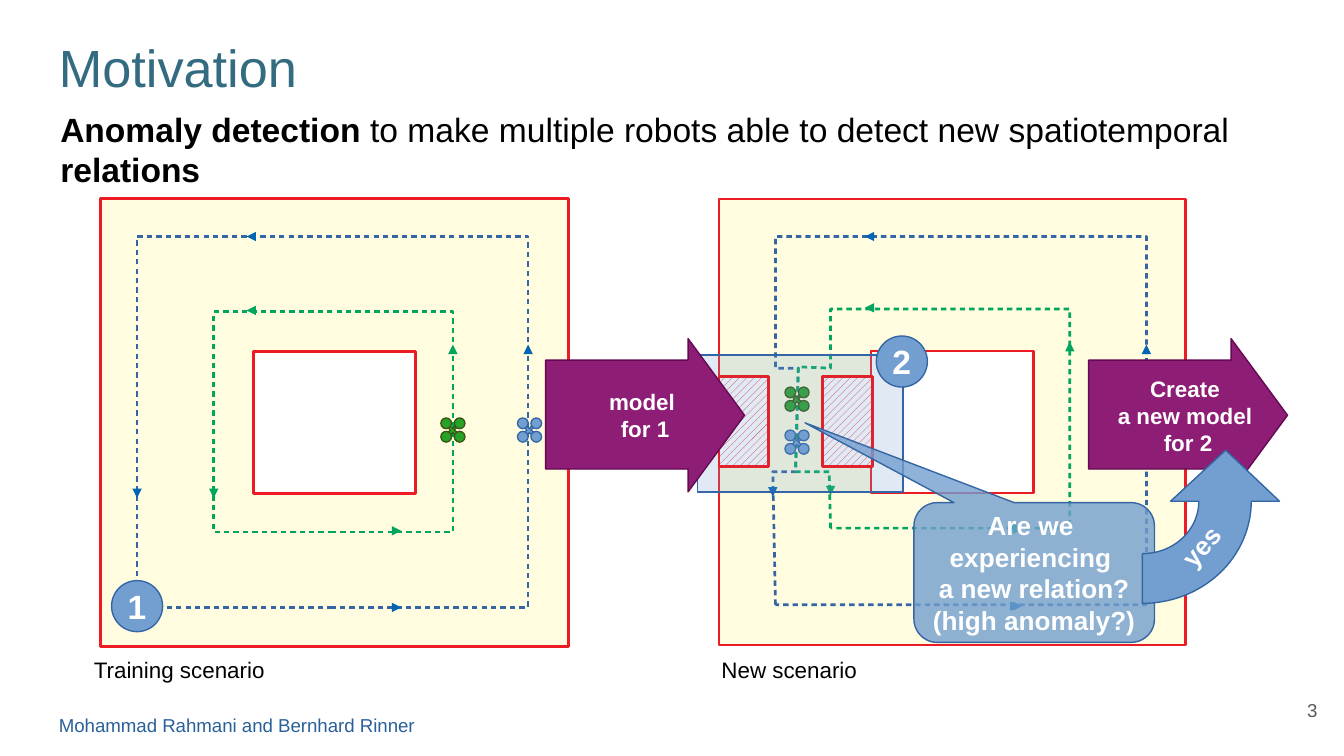
import math
from lxml import etree
from pptx import Presentation
from pptx.dml.color import RGBColor
from pptx.enum.dml import MSO_PATTERN
from pptx.enum.shapes import MSO_SHAPE
from pptx.enum.text import MSO_ANCHOR, PP_ALIGN
from pptx.oxml.ns import qn
from pptx.util import Inches, Pt

RECT, OVAL, FRAME = MSO_SHAPE.RECTANGLE, MSO_SHAPE.OVAL, MSO_SHAPE.FRAME
TRIANGLE = MSO_SHAPE.ISOSCELES_TRIANGLE
CALLOUT = MSO_SHAPE.ROUNDED_RECTANGULAR_CALLOUT
HATCH = MSO_PATTERN.WIDE_UPWARD_DIAGONAL
LEFT, CENTER, RIGHT = PP_ALIGN.LEFT, PP_ALIGN.CENTER, PP_ALIGN.RIGHT
TOP, MIDDLE = MSO_ANCHOR.TOP, MSO_ANCHOR.MIDDLE

BLACK, WHITE = RGBColor(0, 0, 0), RGBColor(255, 255, 255)
CREAM, RED = RGBColor(0xFF, 0xFC, 0xDF), RGBColor(0xED, 0x1C, 0x24)
BRIGHT_RED = RGBColor(0xFF, 0, 0)
BLUE, NAVY = RGBColor(0x72, 0x9F, 0xCF), RGBColor(0x34, 0x65, 0xA4)
ARROW_BLUE, GREEN = RGBColor(0, 0x66, 0xB3), RGBColor(0, 0xA6, 0x5D)
DRONE_GREEN, DARK_GREEN = RGBColor(0x28, 0xA1, 0x27), RGBColor(0x39, 0x55, 0x11)
PURPLE, DARK_PURPLE = RGBColor(0x8D, 0x1D, 0x75), RGBColor(0x65, 0x09, 0x53)
TEAL, GRAY = RGBColor(0x33, 0x6B, 0x81), RGBColor(0x59, 0x59, 0x59)
FOOTER_BLUE = RGBColor(0x2A, 0x60, 0x99)

prs = Presentation()
prs.slide_width = Inches(10)
prs.slide_height = prs.slide_width * 9 // 16
s = prs.slides.add_slide(prs.slide_layouts[6])
U = prs.slide_width / 10  # one grid column; rows have the same size


def draw(kind, place, fill=None, line=None, width=0.75, alpha=None):
    """Draw a preset in a (left, top, width, height) box, or an outline if kind is None."""
    if kind is None:
        pts = [(round(x * U), round(y * U)) for x, y in place]
        fb = s.shapes.build_freeform(*pts[0], scale=1.0)
        fb.add_line_segments(pts[1:], close=True)
        sp = fb.convert_to_shape()
    else:
        sp = s.shapes.add_shape(kind, *[round(v * U) for v in place])
    sp.shadow.inherit = False
    if fill is None:
        sp.fill.background()
    else:
        sp.fill.solid()
        sp.fill.fore_color.rgb = fill
        if alpha:
            color = sp.fill._xPr.find(qn("a:solidFill"))[0]
            etree.SubElement(color, qn("a:alpha")).set("val", str(alpha * 1000))
    if line is None:
        sp.line.fill.background()
    else:
        sp.line.color.rgb = line
        sp.line.width = Pt(width)
    return sp


def write(sp, lines, size, color, bold=False, align=CENTER, anchor=MIDDLE, wrap=False, pad=0.05):
    """Fill a shape with paragraphs, each a list of (text, bold) runs or a string."""
    tf = sp.text_frame
    frame = {"word_wrap": wrap, "vertical_anchor": anchor, "margin_left": Inches(0.1),
             "margin_right": Inches(0.1), "margin_top": Inches(pad), "margin_bottom": Inches(pad)}
    for name, value in frame.items():
        setattr(tf, name, value)
    for i, runs in enumerate(lines):
        p = tf.paragraphs[0] if i == 0 else tf.add_paragraph()
        p.alignment = align
        for text, strong in [(runs, bold)] if isinstance(runs, str) else runs:
            r = p.add_run()
            r.text = text
            for name, value in {"name": "Arial", "size": Pt(size), "bold": strong}.items():
                setattr(r.font, name, value)
            r.font.color.rgb = color


# Floors of the two scenarios
for box in [(5.35, 1.48, 3.47, 3.32), (0.75, 1.48, 3.48, 3.33)]:
    draw(FRAME, box, CREAM, RED, 1.45).adjustments[0] = 0.341

# Obstacles in the new scenario
for x in (5.35, 6.12):
    sp = draw(RECT, (x, 2.8, 0.37, 0.67), WHITE, BRIGHT_RED, 1.45)
    sp.fill.patterned()
    sp.fill.pattern = HATCH
    sp.fill.fore_color.rgb, sp.fill.back_color.rgb = RED, WHITE

# Dashed flight paths
blue_detour = [(5.77, 4.5), (5.75, 3.51), (5.92, 3.51), (5.94, 2.74), (5.77, 2.74),
               (5.77, 1.76), (8.53, 1.76), (8.53, 4.5)]
green_detour = [(6.18, 3.93), (6.17, 3.51), (5.92, 3.51), (5.94, 2.73), (6.18, 2.74),
                (6.18, 2.3), (7.96, 2.3), (7.96, 3.93)]
for kind, place, color in [(None, blue_detour, NAVY), (None, green_detour, GREEN),
                           (RECT, (1.59, 2.32, 1.78, 1.64), GREEN),
                           (RECT, (1.02, 1.76, 2.91, 2.76), NAVY)]:
    ln = draw(kind, place, None, color, 1.45).line._get_or_add_ln()
    dash = etree.Element(qn("a:custDash"))
    etree.SubElement(dash, qn("a:ds"), d="200000", sp="150000")
    ln.find(qn("a:solidFill")).addnext(dash)

# Direction marks: centre and rotation
marks = {
    ARROW_BLUE: [(6.47, 1.76, 270), (8.53, 2.6, 0), (5.75, 3.66, 180), (7.55, 4.51, 90),
                 (7.57, 4.51, 90), (1.87, 1.76, 270), (3.93, 2.6, 0), (1.02, 3.67, 180),
                 (2.95, 4.52, 90)],
    GREEN: [(6.47, 2.29, 270), (7.96, 2.58, 0), (6.18, 3.65, 180), (7.55, 3.92, 90),
            (7.57, 3.94, 90), (1.87, 2.31, 270), (3.37, 2.6, 0), (1.59, 3.67, 180),
            (2.95, 3.95, 90)],
}
M = 0.07
for color, places in marks.items():
    for x, y, turn in places:
        draw(TRIANGLE, (x - M / 2, y - M / 2, M, M), color).rotation = turn

# Drones: crossed arms and four rotors
ARMS = [(-0.05, -0.04), (-0.04, -0.05), (0, -0.01), (0.03, -0.05), (0.05, -0.04), (0.01, 0),
        (0.05, 0.03), (0.03, 0.05), (0, 0.02), (-0.03, 0.05), (-0.05, 0.03), (-0.02, 0)]
for x, y, fill, line in [(5.93, 2.97, DRONE_GREEN, DARK_GREEN), (5.93, 3.29, BLUE, NAVY),
                         (3.94, 3.2, BLUE, NAVY), (3.37, 3.2, DRONE_GREEN, DARK_GREEN)]:
    draw(None, [(x + dx, y + dy) for dx, dy in ARMS], fill, line, 0.71)
    for dx in (-0.09, 0.01):
        for dy in (-0.09, 0.01):
            draw(OVAL, (x + dx, y + dy, 0.08, 0.08), fill, line, 0.71)

# Highlighted region and numbered badges
draw(RECT, (5.19, 2.64, 1.53, 1.02), BLUE, NAVY, alpha=22)
for x, y, label in [(0.83, 4.32, "1"), (6.52, 2.5, "2")]:
    write(draw(OVAL, (x, y, 0.38, 0.38), BLUE, NAVY), [label], 18, WHITE, True)

# Question callout
sp = draw(CALLOUT, (6.8, 3.74, 1.79, 1.04), BLUE, NAVY, alpha=80)
for i, value in enumerate((-0.953, -1.071, 0.167)):
    sp.adjustments[i] = value
write(sp, ["Are we ", "experiencing ", "a new relation?", "(high anomaly?)"], 14, WHITE, True)

# Model arrows
ARROW = [(0, 2.68), (1.06, 2.68), (1.06, 2.52), (1.48, 3.09), (1.06, 3.66), (1.06, 3.49),
         (0, 3.49)]
for x, lines in [(4.06, ["model ", "for 1"]), (8.1, ["Create ", "a new model ", "for 2"])]:
    sp = draw(None, [(x + dx, y) for dx, y in ARROW], PURPLE, DARK_PURPLE)
    write(sp, lines, 12, WHITE, True)

# Curved arrow: inner arc, outer arc, head
cx, cy = 8.5, 3.73
angles = [math.radians(a) for a in range(0, 91, 3)]
inner = [(cx + 0.42 * math.cos(a), cy + 0.39 * math.sin(a)) for a in angles]
outer = [(cx + 0.81 * math.cos(a), cy + 0.76 * math.sin(a)) for a in reversed(angles)]
draw(None, inner + outer + [(9.52, cy), (9.12, 3.35), (8.71, cy)], BLUE, NAVY)

# Title, statement, captions, footer and page number
statement = [("Anomaly detection", True),
             (" to make multiple robots able to detect new spatiotemporal ", False),
             ("relations", True)]
for box, runs, size, color, bold, align, anchor, pad, turn in [
    ((0.34, 0.16, 9.32, 0.63), "Motivation", 28, TEAL, False, LEFT, TOP, 0.1, 0),
    ((0.35, 0.76, 9.35, 0.66), statement, 18, BLACK, False, LEFT, TOP, 0.05, 0),
    ((0.6, 4.83, 3.16, 0.48), "Training scenario", 12, BLACK, False, LEFT, TOP, 0.05, 0),
    ((5.27, 4.83, 2.34, 0.48), "New scenario", 12, BLACK, False, LEFT, TOP, 0.05, 0),
    ((8.69, 3.79, 0.75, 0.48), "yes", 14, WHITE, True, LEFT, TOP, 0.05, 311.2),
    ((0.34, 5.26, 4.47, 0.27), "Mohammad Rahmani and Bernhard Rinner", 10, FOOTER_BLUE,
     False, LEFT, TOP, 0.05, 0),
    ((9.3, 5.07, 0.6, 0.43), "3", 10, GRAY, False, RIGHT, MIDDLE, 0.1, 0),
]:
    tb = s.shapes.add_textbox(*[round(v * U) for v in box])
    tb.rotation = turn
    write(tb, [runs], size, color, bold, align, anchor, True, pad)

prs.save("out.pptx")
